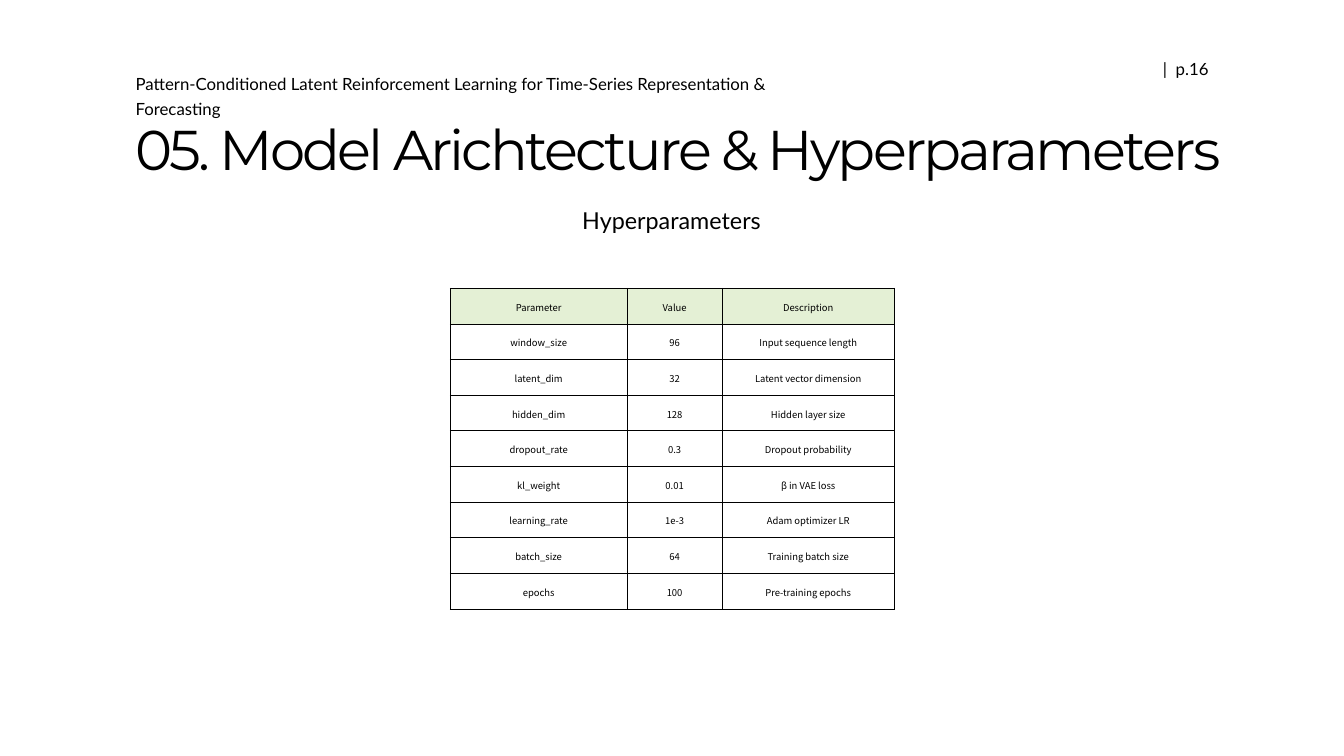
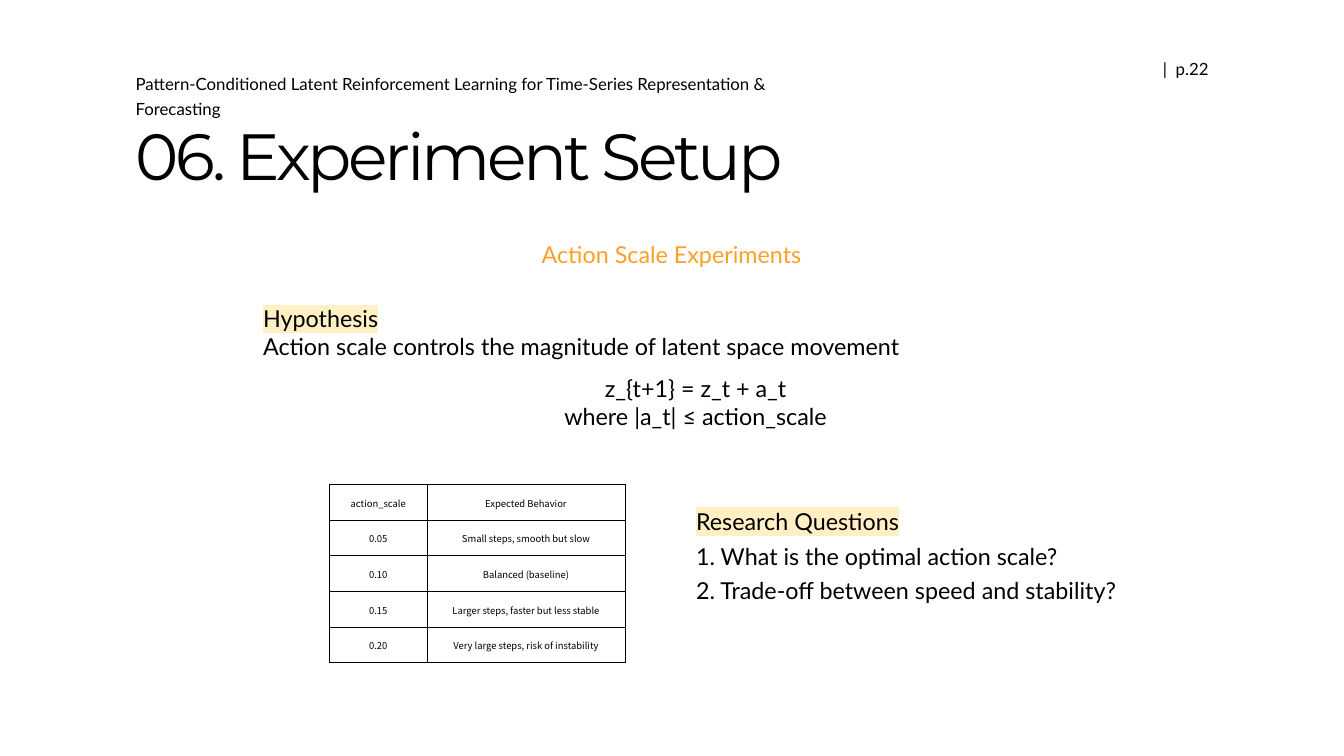
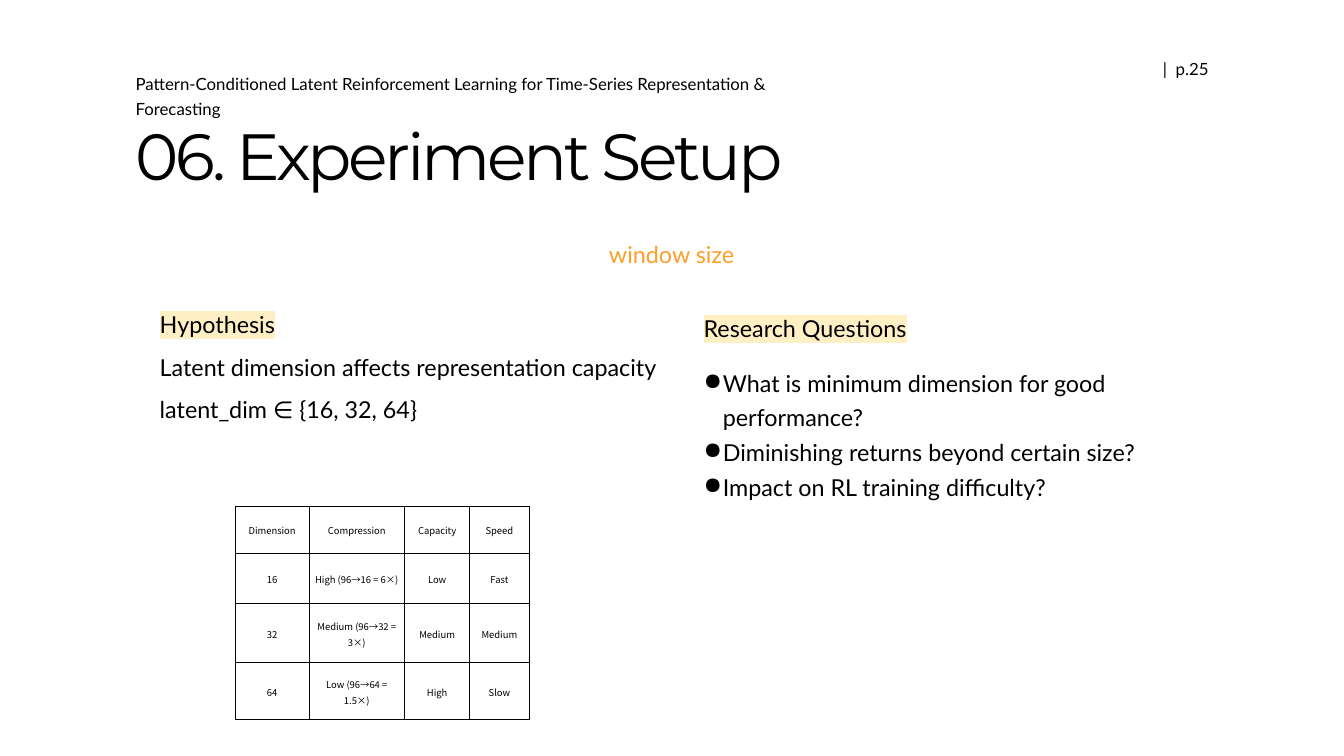
from lxml import etree
from pptx import Presentation
from pptx.dml.color import RGBColor
from pptx.enum.text import MSO_ANCHOR, PP_ALIGN
from pptx.oxml.ns import qn
from pptx.util import Pt

LEFT, CENTER, RIGHT = PP_ALIGN.LEFT, PP_ALIGN.CENTER, PP_ALIGN.RIGHT
MIDDLE = MSO_ANCHOR.MIDDLE

BLACK, WHITE, ORANGE = "000000", "FFFFFF", "FD9F28"
HIGHLIGHT, HEADER_GREEN = "FEEFC5", "E4F0D5"
TITLE_FONT, BODY_FONT, TABLE_FONT = "Montserrat", "Lato", "Noto Sans CJK KR"
BODY_SIZE, RUNNING_SIZE, CELL_SIZE = 33.3, 24, 13.5
BULLET_INDENT = 27.4

RUNNING_HEAD = "Pattern-Conditioned Latent Reinforcement Learning for Time-Series Representation & Forecasting"
RUNNING_BOX = (193.7, 97.9, 1025.3, 64.8)
PAGE_BOX = (1599.8, 76.3, 126.7, 30.2)

EXPERIMENT_TITLE = {
    "text": "06. Experiment Setup", "box": (193.7, 164.2, 1062, 202.3),
    "size": 93.3, "spacing": -4.7, "inset": 18.7,
}
EXPERIMENT_TOPIC = {"box": (589, 339.8, 740.9, 59), "color": ORANGE}

SLIDES = [
    {
        "page": 16,
        "title": {
            "text": "05. Model Arichtecture & Hyperparameters",
            "box": (193.7, 164.2, 1861.2, 192.2),
            "size": 80, "spacing": -4, "inset": 15.8,
        },
        "topic": {"text": "Hyperparameters", "box": (589, 290.9, 740.9, 64.8), "color": BLACK},
        "notes": [],
        "table": {
            "origin": (643, 411.8),
            "widths": [253, 135.4, 246.5],
            "heights": [50.9] * 9,
            "header_fill": HEADER_GREEN,
            "rows": [
                ("Parameter", "Value", "Description"),
                ("window_size", "96", "Input sequence length"),
                ("latent_dim", "32", "Latent vector dimension"),
                ("hidden_dim", "128", "Hidden layer size"),
                ("dropout_rate", "0.3", "Dropout probability"),
                ("kl_weight", "0.01", "β in VAE loss"),
                ("learning_rate", "1e-3", "Adam optimizer LR"),
                ("batch_size", "64", "Training batch size"),
                ("epochs", "100", "Pre-training epochs"),
            ],
        },
    },
    {
        "page": 22,
        "title": EXPERIMENT_TITLE,
        "topic": {"text": "Action Scale Experiments", **EXPERIMENT_TOPIC},
        "notes": [
            {
                "box": (375.8, 431.3, 1236.2, 287.3), "inset": 3.6, "leading": 1,
                "lines": [
                    ("Hypothesis", {"highlight": HIGHLIGHT}),
                    ("Action scale controls the magnitude of latent space movement", {}),
                    ("z_{t+1} = z_t + a_t", {"align": CENTER, "before": 20}),
                    ("where |a_t| ≤ action_scale", {"align": CENTER}),
                ],
            },
            {
                "box": (994.3, 715, 730.8, 231.8), "inset": 0, "leading": 1.24,
                "lines": [
                    ("Research Questions", {"highlight": HIGHLIGHT}),
                    ("1. What is the optimal action scale?", {}),
                    ("2. Trade-off between speed and stability?", {}),
                ],
            },
        ],
        "table": {
            "origin": (470.9, 691.9),
            "widths": [139, 283],
            "heights": [50.9] * 5,
            "header_fill": WHITE,
            "rows": [
                ("action_scale", "Expected Behavior"),
                ("0.05", "Small steps, smooth but slow"),
                ("0.10", "Balanced (baseline)"),
                ("0.15", "Larger steps, faster but less stable"),
                ("0.20", "Very large steps, risk of instability"),
            ],
        },
    },
    {
        "page": 25,
        "title": EXPERIMENT_TITLE,
        "topic": {"text": "window size", **EXPERIMENT_TOPIC},
        "notes": [
            {
                "box": (228.2, 400.3, 743, 378.7), "inset": 43, "leading": 1,
                "lines": [
                    ("Hypothesis", {"highlight": HIGHLIGHT}),
                    ("Latent dimension affects representation capacity", {"before": 21}),
                    ("latent_dim ∈ {16, 32, 64}", {"before": 20}),
                ],
            },
            {
                "box": (1005.1, 439.9, 730.8, 382.3), "inset": 0, "leading": 1.24,
                "lines": [
                    ("Research Questions", {"highlight": HIGHLIGHT}),
                    ("What is minimum dimension for good performance?", {"bullet": "●", "before": 28}),
                    ("Diminishing returns beyond certain size?", {"bullet": "●"}),
                    ("Impact on RL training difficulty?", {"bullet": "●"}),
                ],
            },
        ],
        "table": {
            "origin": (336.2, 722.9),
            "widths": [105.1, 136.8, 92.9, 85],
            "heights": [67, 72.7, 84.2, 81.4],
            "header_fill": WHITE,
            "rows": [
                ("Dimension", "Compression", "Capacity", "Speed"),
                ("16", "High (96→16 = 6×)", "Low", "Fast"),
                ("32", "Medium (96→32 = 3×)", "Medium", "Medium"),
                ("64", "Low (96→64 = 1.5×)", "High", "Slow"),
            ],
        },
    },
]


def rgb(color):
    return RGBColor.from_string(color)


def style_line(line, size, font=BODY_FONT, color=BLACK, align=LEFT, leading=1.0,
               before=0, spacing=0, highlight=None, bullet=None):
    line.alignment = align
    line.line_spacing = leading
    line.space_before = Pt(before)
    if bullet:
        line.level = 1
        properties = line._p.get_or_add_pPr()
        properties.set("marL", str(Pt(BULLET_INDENT)))
        properties.set("indent", str(-Pt(BULLET_INDENT)))
        bullet_color = etree.SubElement(properties, qn("a:buClr"))
        etree.SubElement(bullet_color, qn("a:srgbClr"), val=color)
        etree.SubElement(properties, qn("a:buChar"), char=bullet)
    for run in line.runs:
        run.font.size = Pt(size)
        run.font.color.rgb = rgb(color)
        properties = run._r.get_or_add_rPr()
        if spacing:
            properties.set("spc", str(round(spacing * 100)))
        if highlight:
            marker = etree.SubElement(properties, qn("a:highlight"))
            etree.SubElement(marker, qn("a:srgbClr"), val=highlight)
        run.font.name = font
        for script in ("a:ea", "a:cs"):
            etree.SubElement(properties, qn(script), typeface=font)


def add_text(slide, box, lines, size, inset=0, **shared):
    frame = slide.shapes.add_textbox(*map(Pt, box)).text_frame
    frame.word_wrap = True
    frame.margin_left = frame.margin_right = frame.margin_bottom = 0
    frame.margin_top = Pt(inset)
    frame.text = "\n".join(text for text, _ in lines)
    for line, (_, own) in zip(frame.paragraphs, lines):
        style_line(line, size, **{**shared, **own})


def add_borders(cell):
    properties = cell._tc.get_or_add_tcPr()
    for position, side in enumerate(("a:lnL", "a:lnR", "a:lnT", "a:lnB")):
        border = etree.Element(qn(side), w=str(Pt(1)))
        fill = etree.SubElement(border, qn("a:solidFill"))
        etree.SubElement(fill, qn("a:srgbClr"), val=BLACK)
        properties.insert(position, border)


def add_grid(slide, origin, widths, heights, header_fill, rows):
    extent = (*origin, sum(widths), sum(heights))
    grid = slide.shapes.add_table(len(rows), len(widths), *map(Pt, extent)).table
    grid.first_row = grid.horz_banding = False
    for column, width in zip(grid.columns, widths):
        column.width = Pt(width)
    for index, (row, height, values) in enumerate(zip(grid.rows, heights, rows)):
        row.height = Pt(height)
        for cell, value in zip(row.cells, values):
            cell.text_frame.text = value
            cell.vertical_anchor = MIDDLE
            cell.fill.solid()
            cell.fill.fore_color.rgb = rgb(WHITE if index else header_fill)
            style_line(cell.text_frame.paragraphs[0], CELL_SIZE, TABLE_FONT,
                       align=CENTER, leading=1.16)
            add_borders(cell)


def add_frame(slide, page, title, topic):
    slide.background.fill.solid()
    slide.background.fill.fore_color.rgb = rgb(WHITE)
    add_text(slide, title["box"], [(title["text"], {})], title["size"], title["inset"],
             font=TITLE_FONT, leading=0.83, spacing=title["spacing"])
    add_text(slide, PAGE_BOX, [(f"  |  p.{page}", {})], RUNNING_SIZE,
             align=RIGHT, leading=1.24)
    add_text(slide, RUNNING_BOX, [(RUNNING_HEAD, {})], RUNNING_SIZE, leading=1.24)
    add_text(slide, topic["box"], [(topic["text"], {})], BODY_SIZE, 3.6,
             color=topic["color"], align=CENTER)


def main():
    deck = Presentation()
    deck.slide_width, deck.slide_height = Pt(1920), Pt(1080)
    for content in SLIDES:
        slide = deck.slides.add_slide(deck.slide_layouts[6])
        add_frame(slide, content["page"], content["title"], content["topic"])
        for note in content["notes"]:
            add_text(slide, note["box"], note["lines"], BODY_SIZE, note["inset"],
                     leading=note["leading"])
        add_grid(slide, **content["table"])
    deck.save("out.pptx")


if __name__ == "__main__":
    main()
